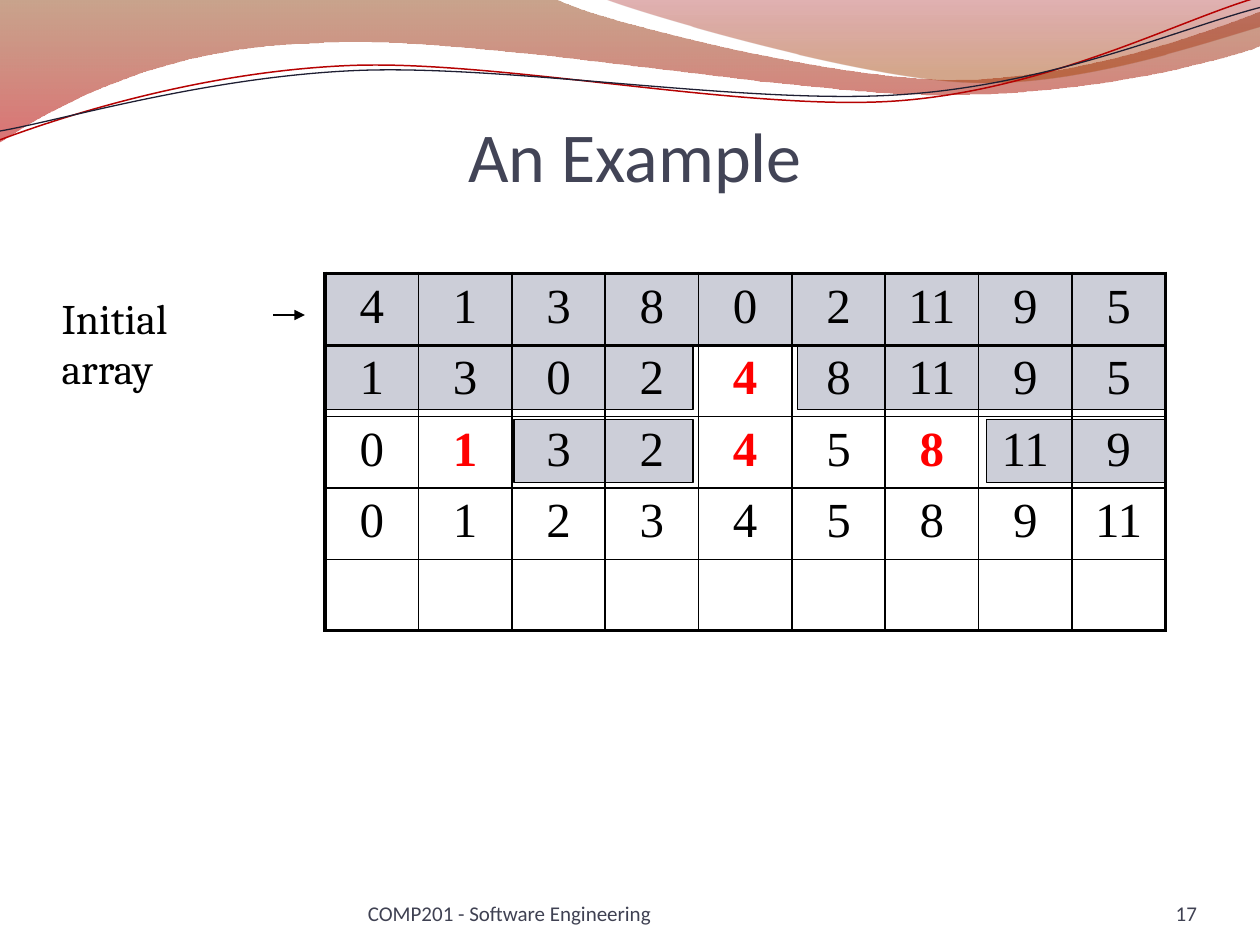
import math

from lxml import etree
from pptx import Presentation
from pptx import util as u
from pptx.dml.color import RGBColor
from pptx.enum import shapes, text
from pptx.oxml import ns

BLACK = RGBColor(0x00, 0x00, 0x00)
RED = RGBColor(0xFF, 0x00, 0x00)
GREY = RGBColor(0xCC, 0xCE, 0xD8)
SLATE = RGBColor(0x42, 0x44, 0x56)
FOOT = RGBColor(0x3F, 0x41, 0x52)
RUST = RGBColor(0x88, 0x34, 0x00)
BRICK = RGBColor(0xBD, 0x00, 0x00)
WINE = RGBColor(0x9A, 0x00, 0x00)
AMBER = RGBColor(0xA2, 0x3E, 0x00)
CRIMSON = RGBColor(0xB6, 0x02, 0x02)
NAVY = RGBColor(0x1F, 0x1F, 0x33)

# Each segment holds one end point, or two controls and an end point
BAND = [[(0, 0)], [(4.4, -0.01)],
        [(4.76, 0.17), (6.64, 0.63), (7.58, 0.63)],
        [(8.53, 0.63), (9.58, 0.26), (10, 0.09)], [(10.01, 0.36)],
        [(9.83, 0.44), (8.7, 0.76), (7.46, 0.75)],
        [(6.22, 0.75), (3.82, 0.28), (2.57, 0.34)],
        [(1.29, 0.36), (0.46, 0.83), (-0.01, 1.13)], [(0, 0)]]
SWEEP = [[(4.79, -0.01)], [(5.09, 0.11), (6.82, 0.62), (7.69, 0.65)],
         [(8.56, 0.69), (9.61, 0.32), (10, 0.21)], [(10, 0)],
         [(4.79, -0.01)]]
RED_WAVE = [[(0, 1.11)], [(0.48, 0.93), (1.58, 0.57), (2.77, 0.52)],
            [(3.95, 0.47), (5.93, 0.89), (7.13, 0.8)],
            [(8.33, 0.71), (9.38, 0.15), (9.98, -0.02)]]
DARK_WAVE = [[(0, 1.04)], [(0.47, 0.96), (1.64, 0.61), (2.83, 0.56)],
             [(4.03, 0.51), (5.97, 0.84), (7.17, 0.75)],
             [(8.36, 0.67), (9.41, 0.21), (10, 0.06)]]
TILT = 2.7

ROWS = [[4, 1, 3, 8, 0, 2, 11, 9, 5],
        [1, 3, 0, 2, 4, 8, 11, 9, 5],
        [0, 1, 3, 2, 4, 5, 8, 11, 9],
        [0, 1, 2, 3, 4, 5, 8, 9, 11],
        [""] * 9]
PIVOTS = {(1, 4), (2, 1), (2, 4), (2, 6)}
LEFT, TOP, WIDTH, HEIGHT = 2.58, 2.17, 6.67, 2.83
SHADES = [(6.33, 2.75, 2.92, 0.5), (2.58, 2.75, 2.92, 0.5),
          (7.83, 3.33, 1.42, 0.5), (4.08, 3.33, 1.42, 0.5),
          (LEFT, TOP, WIDTH, 0.58)]


def inches(*nums):
    return [u.Inches(n) for n in nums]


def outline(slide, curve, close):
    points = [tuple(inches(*p)) for seg in curve for p in seg]
    form = slide.shapes.build_freeform(*points[0])
    form.add_line_segments(points[1:], close=close)
    shape = form.convert_to_shape()
    shape.shadow.inherit = False
    # Join each run of three points into one curve
    steps = iter(list(shape._element.iter(ns.qn("a:lnTo"))))
    for seg in curve[1:]:
        first = next(steps)
        if len(seg) == 3:
            bend = etree.Element(ns.qn("a:cubicBezTo"))
            first.addprevious(bend)
            for step in (first, next(steps), next(steps)):
                bend.append(step[0])
                step.getparent().remove(step)
    return shape


def add_band(slide, curve, stops):
    shape = outline(slide, curve, True)
    shape.line.fill.background()
    shape.fill.gradient()
    shape.fill.gradient_angle = 270
    for stop, (place, color, _) in zip(shape.fill.gradient_stops, stops):
        stop.position, stop.color.rgb = place, color
    tints = shape.fill._xPr.iter(ns.qn("a:srgbClr"))
    for tint, (_, _, alpha) in zip(tints, stops):
        etree.SubElement(tint, ns.qn("a:alpha"), val=str(alpha * 1000))


def level(point, center):
    x, y = point[0] - center[0], point[1] - center[1]
    cos, sin = math.cos(math.radians(TILT)), math.sin(math.radians(TILT))
    return center[0] + x * cos - y * sin, center[1] + x * sin + y * cos


def add_wave(slide, curve, center, color, width):
    flat = [[level(p, center) for p in seg] for seg in curve]
    shape = outline(slide, flat, False)
    shape.rotation = -TILT
    shape.fill.background()
    shape.line.color.rgb = color
    shape.line.width = u.Pt(width)


def style(para, font, size, color, align, bold=False):
    para.alignment = align
    for run in para.runs:
        run.font.name, run.font.size = font, u.Pt(size)
        run.font.color.rgb, run.font.bold = color, bold


def add_text(slide, box, words, font, size, color,
             align=text.PP_ALIGN.LEFT, insets=None):
    frame = slide.shapes.add_textbox(*inches(*box)).text_frame
    frame.word_wrap = True
    frame.text = words
    if insets:
        frame.vertical_anchor = text.MSO_ANCHOR.BOTTOM
        (frame.margin_left, frame.margin_top,
         frame.margin_right, frame.margin_bottom) = inches(*insets)
    style(frame.paragraphs[0], font, size, color, align)


def add_shade(slide, box):
    shape = slide.shapes.add_shape(shapes.MSO_SHAPE.RECTANGLE, *inches(*box))
    shape.shadow.inherit = False
    shape.fill.solid()
    shape.fill.fore_color.rgb = GREY
    shape.line.color.rgb = BLACK
    shape.line.width = u.Pt(0.75)


def add_arrow(slide, start, end):
    arrow = slide.shapes.add_connector(
        shapes.MSO_CONNECTOR.STRAIGHT, *inches(*start, *end))
    arrow.line.color.rgb = BLACK
    arrow.line.width = u.Pt(0.75)
    etree.SubElement(arrow.line._get_or_add_ln(), ns.qn("a:tailEnd"),
                     type="triangle")
    etree.SubElement(arrow._element.spPr, ns.qn("a:effectLst"))


def set_edges(cell, outer):
    props = cell._tc.get_or_add_tcPr()
    for i, side in enumerate("LRTB"):
        width = u.Pt(2.25 if outer[side] else 1)
        edge = etree.Element(ns.qn("a:ln" + side), w=str(width))
        fill = etree.SubElement(edge, ns.qn("a:solidFill"))
        etree.SubElement(fill, ns.qn("a:srgbClr"), val=str(BLACK))
        props.insert(i, edge)


def add_grid(slide):
    rows, cols = len(ROWS), len(ROWS[0])
    table = slide.shapes.add_table(
        rows, cols, *inches(LEFT, TOP, WIDTH, HEIGHT)).table
    table.first_row = table.horz_banding = False
    for r, row in enumerate(ROWS):
        for c, value in enumerate(row):
            cell = table.cell(r, c)
            cell.fill.background()
            cell.text_frame.text = str(value)
            pivot = (r, c) in PIVOTS
            style(cell.text_frame.paragraphs[0], "Times New Roman", 28,
                  RED if pivot else BLACK, text.PP_ALIGN.CENTER, pivot)
            set_edges(cell, {"L": c == 0, "R": c == cols - 1,
                             "T": r == 0, "B": r == rows - 1})


def main():
    deck = Presentation()
    deck.slide_width, deck.slide_height = inches(10, 7.5)
    slide = deck.slides.add_slide(deck.slide_layouts[6])

    # Banner
    add_band(slide, BAND, [(0, RUST, 45), (1, BRICK, 55)])
    add_band(slide, SWEEP, [(0, WINE, 30), (0.8, AMBER, 45)])
    add_wave(slide, RED_WAVE, (4.99, 0.57), CRIMSON, 0.85)
    add_wave(slide, DARK_WAVE, (5, 0.59), NAVY, 0.75)

    # Title
    add_text(slide, (0.5, 0.77, 9.08, 0.79), "An Example", "Calibri", 40,
             SLATE, text.PP_ALIGN.CENTER, (0, 0.05, 0, 0))

    # Sorting steps
    for box in SHADES:
        add_shade(slide, box)
    add_text(slide, (0.39, 2.27, 1.83, 0.5), "Initial array", "Cambria", 24,
             BLACK)
    add_arrow(slide, (2.17, 2.5), (2.42, 2.5))
    add_grid(slide)

    # Footer
    add_text(slide, (8.67, 6.95, 0.83, 0.4), "17", "Calibri", 12, FOOT,
             text.PP_ALIGN.RIGHT, (0, 0, 0, 0))
    add_text(slide, (2.92, 6.95, 3.67, 0.4), "COMP201 - Software Engineering",
             "Calibri", 12, FOOT, insets=(0, 0, 0, 0))

    deck.save("out.pptx")


main()
